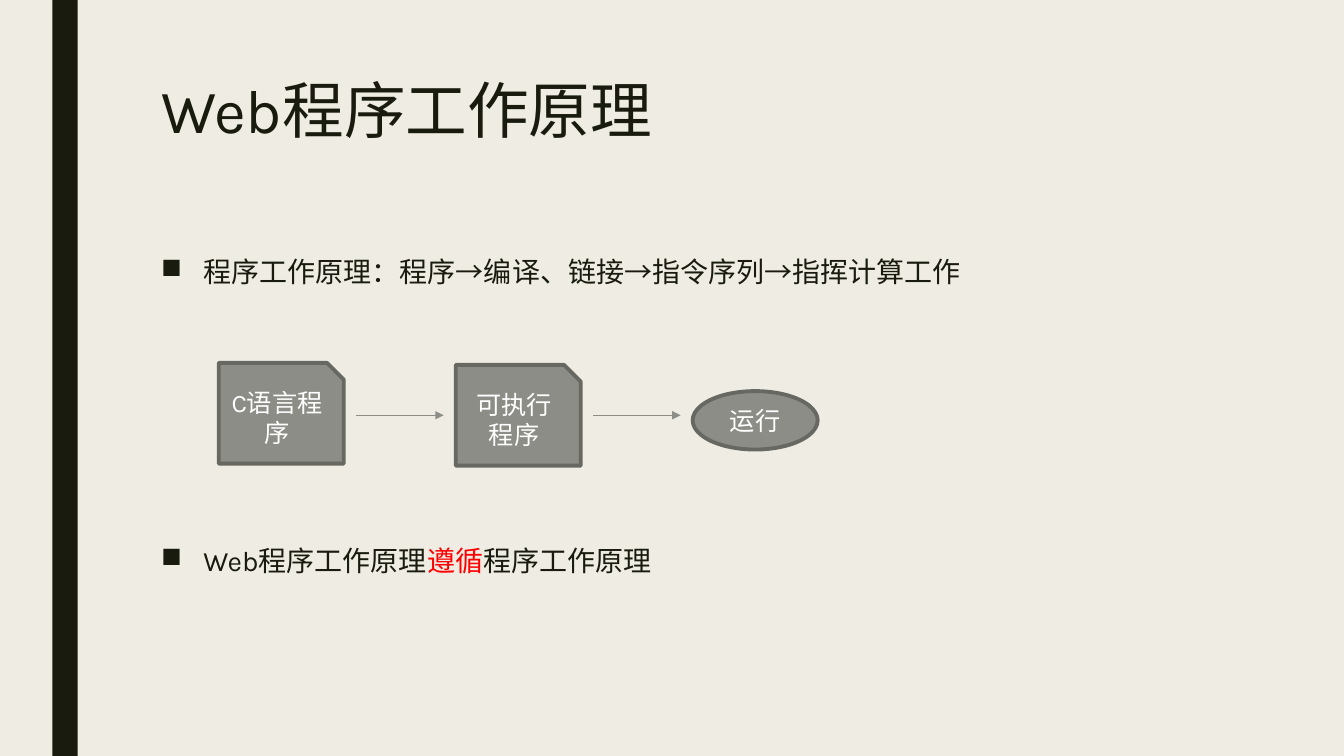
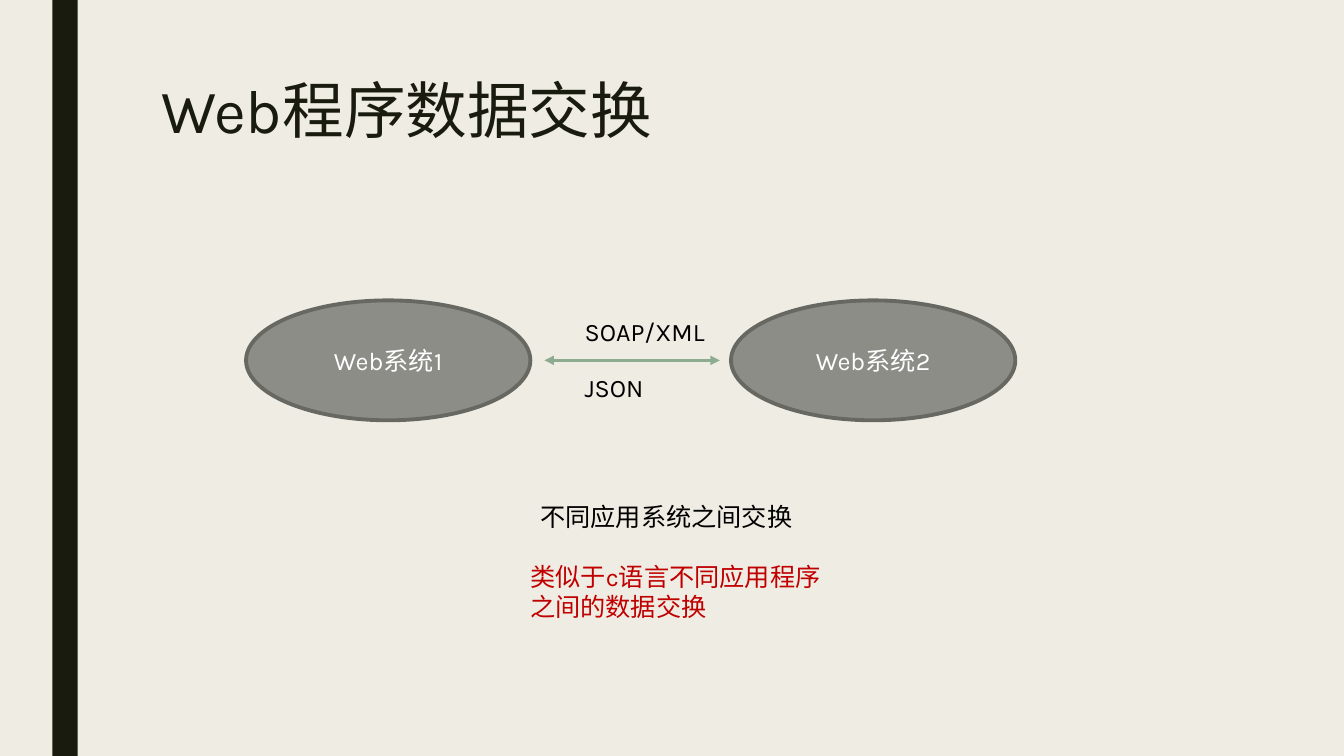
from pptx import Presentation, util as u
from pptx.dml.color import RGBColor
from pptx.enum import shapes, text
from pptx.oxml.ns import qn
from lxml import etree

# Shared style
FONT = "Karla"
PAPER = RGBColor(0xEF, 0xED, 0xE3)
INK = RGBColor(0x19, 0x1B, 0x0E)
GREY = RGBColor(0x8C, 0x8D, 0x86)
EDGE = RGBColor(0x68, 0x68, 0x63)
GREEN = RGBColor(0x8D, 0xAB, 0x8E)
WHITE = RGBColor(0xFF, 0xFF, 0xFF)
BLACK = RGBColor(0, 0, 0)
RED = RGBColor(0xFF, 0, 0)
DARK_RED = RGBColor(0xC0, 0, 0)
SNIP = shapes.MSO_SHAPE.SNIP_1_RECTANGLE
OVAL = shapes.MSO_SHAPE.OVAL
W, H = 13.33, 7.5
MARGIN, CONTENT_W = 1.5, 10.5

prs = Presentation()
prs.slide_width, prs.slide_height = u.Inches(W), u.Inches(H)


def add_box(s, box, paragraphs, size=18, color=BLACK, kind=None):
    """Text box, or an outlined node when kind is given; a paragraph is a list of (text, colour)."""
    place = [u.Inches(v) for v in box]
    if kind is None:
        sp = s.shapes.add_textbox(*place)
    else:
        sp = s.shapes.add_shape(kind, *place)
        sp.shadow.inherit = False
        sp.fill.solid()
        sp.fill.fore_color.rgb = GREY
        sp.line.color.rgb = EDGE
        sp.line.width = u.Pt(2.75)
        color = WHITE
    tf = sp.text_frame
    tf.word_wrap = True
    tf.vertical_anchor = text.MSO_ANCHOR.MIDDLE if kind else text.MSO_ANCHOR.TOP
    for i, runs in enumerate(paragraphs):
        p = tf.add_paragraph() if i else tf.paragraphs[0]
        p.alignment = text.PP_ALIGN.CENTER if kind else text.PP_ALIGN.LEFT
        for words, run_color in runs:
            r = p.add_run()
            r.text = words
            r.font.name, r.font.size = FONT, u.Pt(size)
            r.font.color.rgb = run_color or color
    return tf


def add_arrow(s, x1, x2, y, color, width, ends):
    line = s.shapes.add_connector(shapes.MSO_CONNECTOR.STRAIGHT,
                                  *[u.Inches(v) for v in (x1, y, x2, y)])
    line.line.color.rgb = color
    line.line.width = u.Pt(width)
    ln = line.line._get_or_add_ln()
    for end in ends:
        etree.SubElement(ln, qn("a:" + end), type="triangle")
    etree.SubElement(line._element.spPr, qn("a:effectLst"))


# Background, side band and title of every slide
for title in ("Web程序工作原理", "Web程序数据交换"):
    s = prs.slides.add_slide(prs.slide_layouts[6])
    s.background.fill.solid()
    s.background.fill.fore_color.rgb = PAPER
    band = s.shapes.add_shape(shapes.MSO_SHAPE.RECTANGLE, u.Inches(0.52), 0,
                              u.Inches(0.25), prs.slide_height)
    band.shadow.inherit = False
    band.fill.solid()
    band.fill.fore_color.rgb = INK
    band.line.fill.background()
    tf = add_box(s, (MARGIN, H / 10, CONTENT_W, 1.62), [[(title, None)]], 44, INK)
    tf.paragraphs[0].line_spacing = 0.89
principle, exchange = prs.slides

# Slide 1: bullets above and below the flow
tf = add_box(principle, (MARGIN, H / 3, CONTENT_W, 3.92), [
    [("程序工作原理：程序→编译、链接→指令序列→指挥计算工作", None)],
    [("Web程序工作原理", None), ("遵循", RED), ("程序工作原理", None)],
], 20, INK)
for p, before in zip(tf.paragraphs, (10, 182)):
    p.line_spacing, p.space_before, p.space_after = 0.94, u.Pt(before), u.Pt(2)
    pPr = p._p.get_or_add_pPr()
    pPr.set("marL", str(u.Inches(0.42)))
    pPr.set("indent", str(-u.Inches(0.42)))
    etree.SubElement(pPr, qn("a:buChar"), char="■")

# Slide 1: program flow, one step per column
STEP_X, STEP_PITCH, STEP_W = 2.17, 2.35, 1.24
steps = [("C语言程序", SNIP, 3.6, 1), ("可执行程序", SNIP, 3.62, 1), ("运行", OVAL, 3.88, 0.58)]
for col, (label, kind, top, height) in enumerate(steps):
    x = STEP_X + col * STEP_PITCH
    add_box(principle, (x, top, STEP_W, height), [[(label, None)]], kind=kind)
    if col < len(steps) - 1:
        add_arrow(principle, x + STEP_W + 0.12, x + STEP_PITCH - 0.12, 4.12,
                  GREY, 0.5, ["tailEnd"])

# Slide 2: two systems joined by a two-way arrow
SYSTEM_X, SYSTEM_PITCH, SYSTEM_Y, SYSTEM_W, SYSTEM_H = 2.44, 4.81, 2.98, 2.82, 1.19
for col in range(2):
    add_box(exchange, (SYSTEM_X + col * SYSTEM_PITCH, SYSTEM_Y, SYSTEM_W, SYSTEM_H),
            [[(f"Web系统{col + 1}", None)]], kind=OVAL)
add_arrow(exchange, 5.4, 7.14, SYSTEM_Y + SYSTEM_H / 2, GREEN, 2.25, ["headEnd", "tailEnd"])

# Slide 2: formats and remarks
for words, box, color in [
    ("SOAP/XML", (5.7, 3.09, 1.44, 0.4), BLACK),
    ("JSON", (5.7, 3.64, 1.44, 0.4), BLACK),
    ("不同应用系统之间交换", (5.26, 4.92, 2.85, 0.4), BLACK),
    ("类似于c语言不同应用程序之间的数据交换", (5.16, 5.52, 3.18, 0.71), DARK_RED),
]:
    add_box(exchange, box, [[(words, None)]], color=color)

prs.save("out.pptx")
